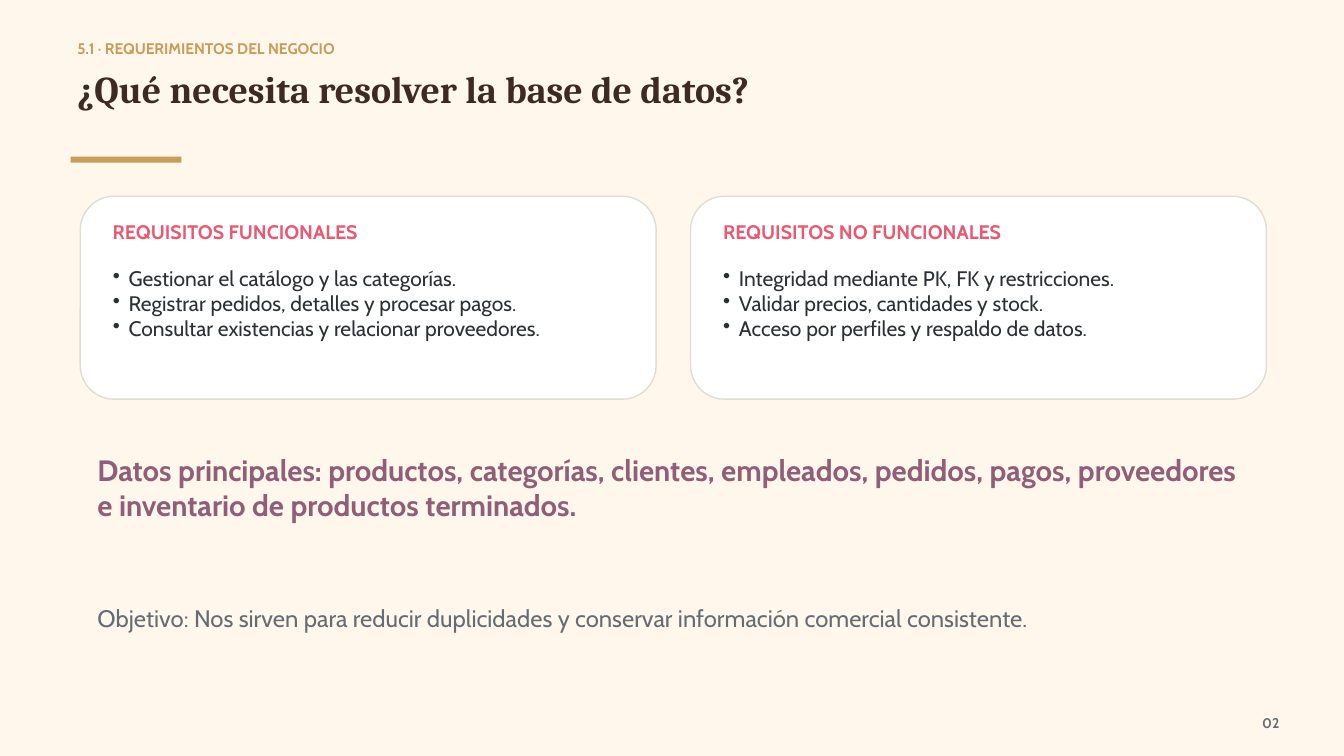
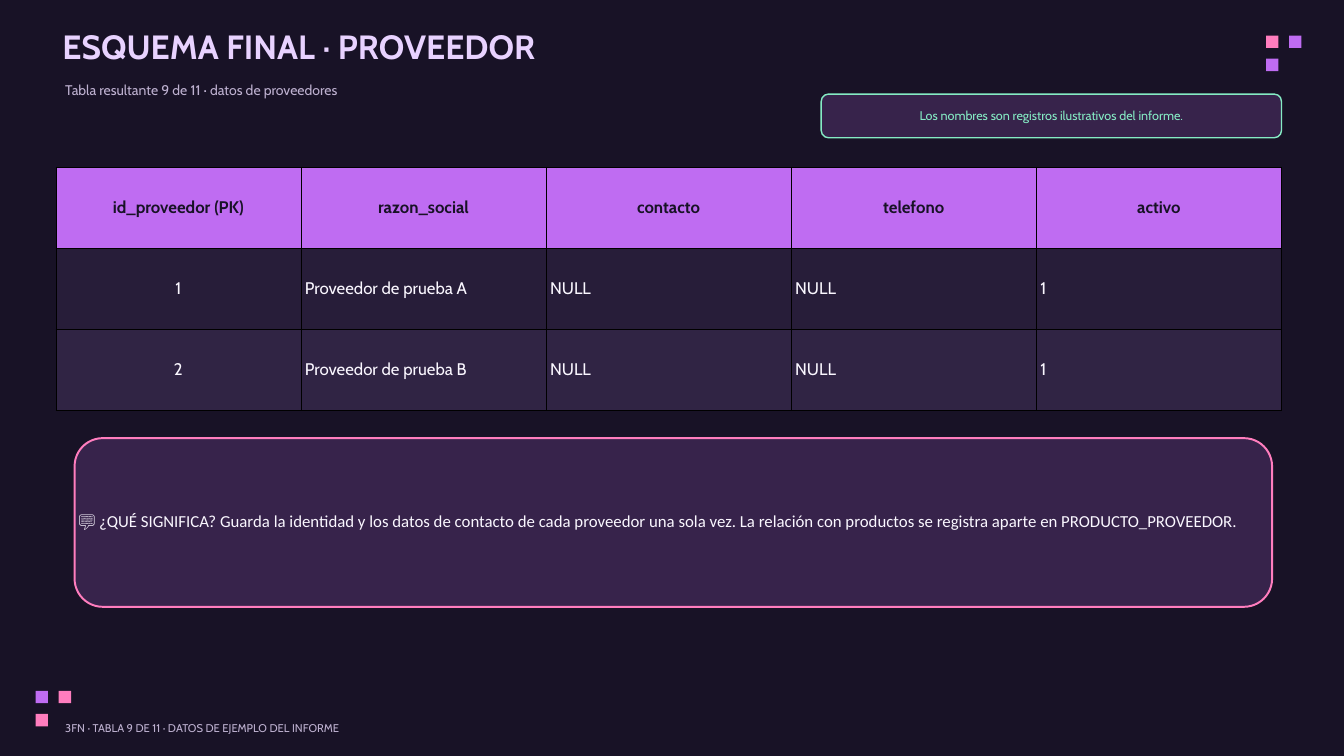
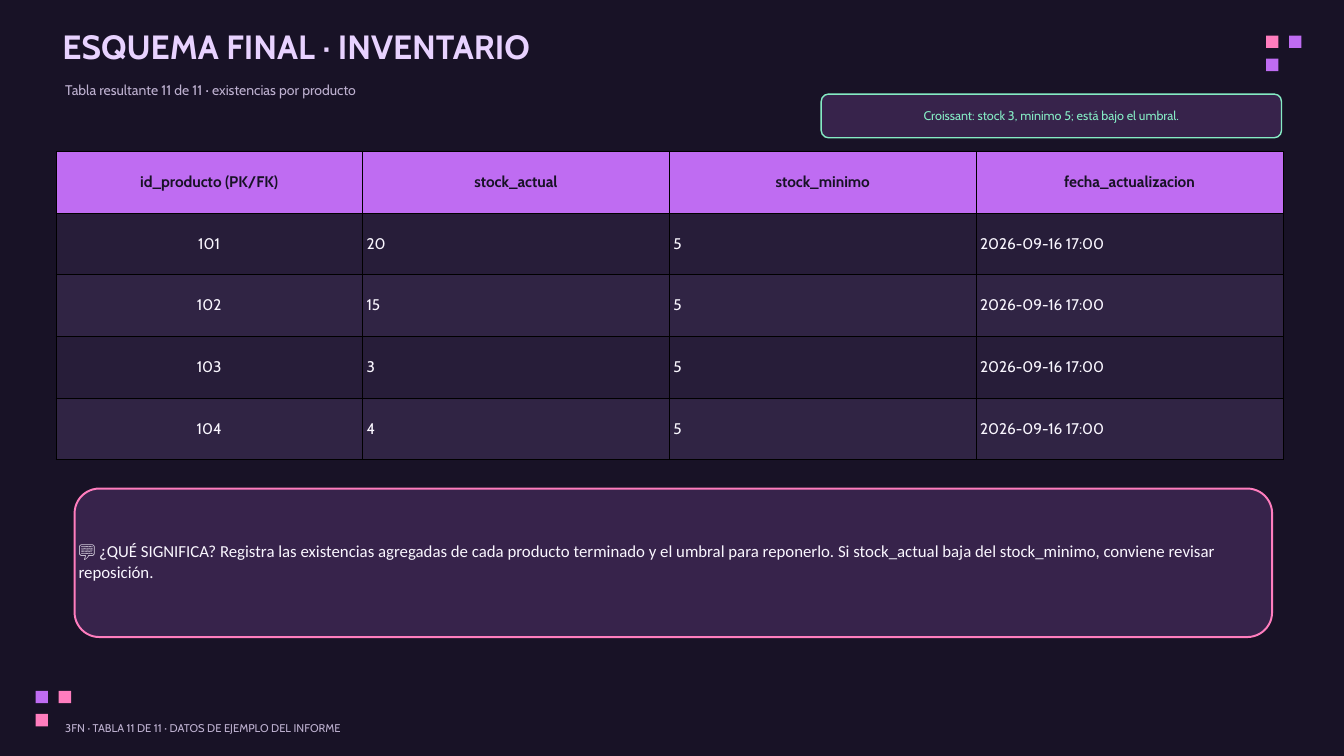
from lxml.etree import SubElement
from pptx import Presentation
from pptx.dml.color import RGBColor as RGB
from pptx.enum.shapes import MSO_SHAPE as SHAPE
from pptx.enum.text import MSO_ANCHOR as ANCHOR, PP_ALIGN as ALIGN
from pptx.oxml.ns import qn
from pptx.util import Inches, Pt

WIDTH, HEIGHT = Inches(20), Inches(11.25)
COLUMNS = 100
MODULE = WIDTH / COLUMNS
PAD = 0.3
BODY, SERIF, NOTE_FONT = "Cabin", "Cambria", "Calibri"
C = {
    "cream": "FFF6EC", "gold": "C79D57", "brown": "3E2A20", "gray": "646C74",
    "white": "FFFFFF", "card_line": "E2DDD2", "coral": "E85A71", "ink": "2C3034",
    "plum": "905E76", "night": "181226", "pink": "FF7DBE", "purple": "BF6CF2",
    "lilac": "E8D2FF", "muted": "BEB1D0", "panel": "37234B", "mint": "85EBC4",
    "light": "FAF7FF", "row_odd": "271D39", "row_even": "302444", "black": "000000",
}


def u(n):
    return round(n * MODULE)


def new_slide(prs, color):
    s = prs.slides.add_slide(prs.slide_layouts[6])
    s.background.fill.solid()
    s.background.fill.fore_color.rgb = RGB.from_string(C[color])
    return s


def add_bullet(p, indent):
    pPr = p._p.get_or_add_pPr()
    pPr.set("marL", str(u(indent)))
    pPr.set("indent", str(-u(indent)))
    SubElement(pPr, qn("a:buChar")).set("char", "•")


def style(p, size, color, font=BODY, bold=False, align=ALIGN.LEFT):
    p.alignment = align
    p.line_spacing = Pt(size * 1.2)
    for r in p.runs:
        r.font.name, r.font.size, r.font.bold = font, Pt(size), bold
        r.font.color.rgb = RGB.from_string(C[color])


def add_text(s, box, text, size, color, pad=0, anchor=ANCHOR.TOP, bullets=False, **fmt):
    tf = s.shapes.add_textbox(*map(u, box)).text_frame
    tf.word_wrap = True
    tf.vertical_anchor = anchor
    tf.margin_left = tf.margin_right = tf.margin_top = tf.margin_bottom = u(pad)
    tf.text = text
    for p in tf.paragraphs:
        if bullets:
            add_bullet(p, 1.18)
        style(p, size, color, **fmt)


def add_box(s, box, fill, line=None, width=1.5, kind=SHAPE.RECTANGLE):
    sp = s.shapes.add_shape(kind, *map(u, box))
    sp.shadow.inherit = False
    sp.fill.solid()
    sp.fill.fore_color.rgb = RGB.from_string(C[fill])
    if line:
        sp.line.color.rgb = RGB.from_string(C[line])
        sp.line.width = Pt(width)
    else:
        sp.line.fill.background()


def add_callout(s, box, text, size, color, line, width, **fmt):
    x, y, w, h = box
    add_box(s, box, "panel", line, width, SHAPE.ROUNDED_RECTANGLE)
    add_text(s, (x, y - 0.01 * h, w, h), text, size, color, pad=PAD,
             anchor=ANCHOR.MIDDLE, **fmt)


def add_card(s, x, title, items):
    y, inset = 14.6, 2.42
    add_box(s, (x, y, 42.85, 15.1), "white", "card_line", kind=SHAPE.ROUNDED_RECTANGLE)
    add_text(s, (x + inset, y + 1.75, 38, 2.2), title, 21, "coral", bold=True)
    add_text(s, (x + inset, y + 5.15, 38.4, 5.6), "\n".join(items), 22.5, "ink", bullets=True)


def add_pixels(s, x, y, colors):
    size, pitch = 0.92, 1.72
    for (col, row), color in zip([(0, 0), (1, 0), (0, 1)], colors):
        add_box(s, (x + col * pitch, y + row * pitch, size, size), color)


def add_borders(cell):
    tcPr = cell._tc.get_or_add_tcPr()
    for side in ("lnL", "lnR", "lnT", "lnB"):
        ln = SubElement(tcPr, qn(f"a:{side}"))
        ln.set("w", str(Pt(0.37)))
        fill = SubElement(ln, qn("a:solidFill"))
        SubElement(fill, qn("a:srgbClr")).set("val", C["black"])


def add_data_table(s, box, rows, size):
    table = s.shapes.add_table(len(rows), len(rows[0]), *map(u, box)).table
    for i, row in enumerate(rows):
        fill = "purple" if i == 0 else "row_odd" if i % 2 else "row_even"
        for j, value in enumerate(row):
            cell = table.cell(i, j)
            add_borders(cell)
            cell.fill.solid()
            cell.fill.fore_color.rgb = RGB.from_string(C[fill])
            cell.vertical_anchor = ANCHOR.MIDDLE
            cell.margin_left = cell.margin_right = u(PAD)
            cell.margin_top = cell.margin_bottom = u(PAD)
            cell.text = value
            style(cell.text_frame.paragraphs[0], size, "light" if i else "night", bold=i == 0,
                  align=ALIGN.LEFT if i and j else ALIGN.CENTER)


def add_requirements_slide(prs):
    s = new_slide(prs, "cream")
    add_text(s, (5.75, 2.9, 87.5, 1.35), "5.1 · REQUERIMIENTOS DEL NEGOCIO", 16.5, "gold",
             bold=True)
    add_text(s, (5.75, 4.9, 89, 3.35), "¿Qué necesita resolver la base de datos?", 40.5,
             "brown", font=SERIF, bold=True)
    add_box(s, (5.25, 11.65, 8.25, 0.45), "gold")
    add_text(s, (92.45, 53.15, 2.75, 1), "02", 15, "gray", bold=True, align=ALIGN.RIGHT)
    cards = [
        ("REQUISITOS FUNCIONALES",
         ["Gestionar el catálogo y las categorías.",
          "Registrar pedidos, detalles y procesar pagos.",
          "Consultar existencias y relacionar proveedores."]),
        ("REQUISITOS NO FUNCIONALES",
         ["Integridad mediante PK, FK y restricciones.",
          "Validar precios, cantidades y stock.",
          "Acceso por perfiles y respaldo de datos."]),
    ]
    for i, (title, items) in enumerate(cards):
        add_card(s, 5.97 + i * 45.41, title, items)
    add_text(s, (7.25, 33.65, 85.3, 5.2),
             "Datos principales: productos, categorías, clientes, empleados, pedidos, pagos, "
             "proveedores e inventario de productos terminados.", 31.5, "plum", bold=True)
    add_text(s, (7.25, 44.9, 84.55, 2.1),
             "Objetivo: Nos sirven para reducir duplicidades y conservar información "
             "comercial consistente.", 25.5, "gray")


def add_schema_slide(prs, name, number, topic, badge, rows, table_box, size, note, note_top,
                     note_height):
    s = new_slide(prs, "night")
    add_pixels(s, 94.2, 2.65, ["pink", "purple", "purple"])
    add_pixels(s, 2.65, 51.4, ["purple", "pink", "pink"])
    add_text(s, (4.65, 1.9, 89.8, 3.25), f"ESQUEMA FINAL · {name}", 36, "lilac", bold=True)
    add_text(s, (4.85, 6.05, 89.8, 1.75), f"Tabla resultante {number} de 11 · {topic}", 15,
             "muted")
    add_data_table(s, table_box, rows, size)
    add_callout(s, (61.1, 7, 34.25, 3.25), badge, 13.5, "mint", "mint", 1.5,
                align=ALIGN.CENTER)
    add_callout(s, (5.55, note_top, 89.1, note_height), f"💬 ¿QUÉ SIGNIFICA? {note}", 18,
                "light", "pink", 2.1, font=NOTE_FONT)
    add_text(s, (4.85, 53.7, 89.05, 1),
             f"3FN · TABLA {number} DE 11 · DATOS DE EJEMPLO DEL INFORME", 12, "muted")


def main():
    prs = Presentation()
    prs.slide_width, prs.slide_height = WIDTH, HEIGHT
    add_requirements_slide(prs)
    suppliers = [["id_proveedor (PK)", "razon_social", "contacto", "telefono", "activo"]]
    suppliers += [[key, f"Proveedor de prueba {letter}", "NULL", "NULL", "1"]
                  for key, letter in zip("12", "AB")]
    add_schema_slide(
        prs, "PROVEEDOR", 9, "datos de proveedores",
        "Los nombres son registros ilustrativos del informe.",
        suppliers, (4.15, 12.4, 91.2, 18.15), 18,
        "Guarda la identidad y los datos de contacto de cada proveedor una sola vez. "
        "La relación con productos se registra aparte en PRODUCTO_PROVEEDOR.", 32.6, 12.55)
    stock = [["id_producto (PK/FK)", "stock_actual", "stock_minimo", "fecha_actualizacion"]]
    stock += [[key, amount, "5", "2026-09-16 17:00"]
              for key, amount in [("101", "20"), ("102", "15"), ("103", "3"), ("104", "4")]]
    add_schema_slide(
        prs, "INVENTARIO", 11, "existencias por producto",
        "Croissant: stock 3, mínimo 5; está bajo el umbral.",
        stock, (4.15, 11.25, 91.3, 22.95), 16.5,
        "Registra las existencias agregadas de cada producto terminado y el umbral para "
        "reponerlo. Si stock_actual baja del stock_minimo, conviene revisar reposición.",
        36.35, 11.05)
    prs.save("out.pptx")


if __name__ == "__main__":
    main()
